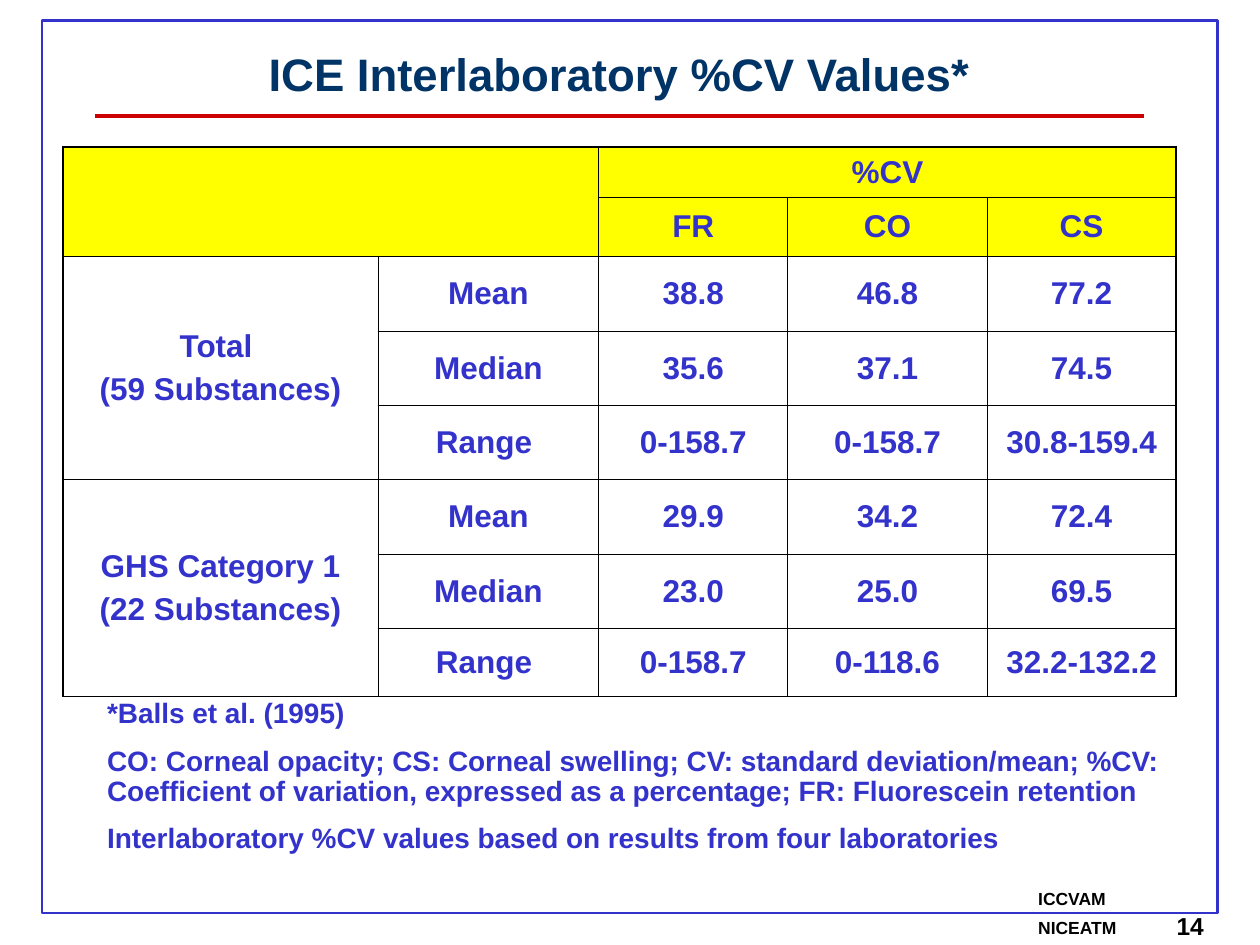
from lxml.etree import SubElement
from pptx import Presentation
from pptx.dml.color import RGBColor
from pptx.enum.shapes import MSO_CONNECTOR, MSO_SHAPE
from pptx.enum.text import MSO_ANCHOR, PP_ALIGN
from pptx.oxml import parse_xml
from pptx.oxml.ns import nsdecls, qn
from pptx.util import Cm, Pt

FONT = "Arial"
BLUE, NAVY, RED, YELLOW, BLACK = "3333CC", "003366", "CC0000", "FFFF00", "000000"
THIN, THICK = 0.45, 1.08

TITLE = "ICE Interlaboratory %CV Values*"
NOTES = [
    "*Balls et al. (1995)",
    "CO: Corneal opacity; CS: Corneal swelling; CV: standard deviation/mean; %CV: "
    "Coefficient of variation, expressed as a percentage; FR: Fluorescein retention",
    "Interlaboratory %CV values based on results from four laboratories",
]
FOOTERS = [
    ("ICCVAM", (20.68, 17.78, 2.06, 0.69), 10),
    ("NICEATM", (20.68, 18.36, 2.46, 0.69), 10),
    ("14", (23.47, 18.24, 2.9, 0.86), 14),
]

ROWS = [
    ["", "", "%CV", "", ""],
    ["", "", "FR", "CO", "CS"],
    ["Total \n(59 Substances)", "Mean", "38.8", "46.8", "77.2"],
    ["", "Median", "35.6", "37.1", "74.5"],
    ["", "Range ", "0-158.7", "0-158.7", "30.8-159.4"],
    ["GHS Category 1\n(22 Substances)", "Mean", "29.9", "34.2", "72.4"],
    ["", "Median", "23.0", "25.0", "69.5"],
    ["", "Range ", "0-158.7", "0-118.6", "32.2-132.2"],
]
MERGES = [((0, 0), (1, 1)), ((0, 2), (0, 4)), ((2, 0), (4, 0)), ((5, 0), (7, 0))]
HEADER_ROWS = 2
COLUMN_WIDTHS = [6.35, 4.45, 3.81, 4.02, 3.81]
ROW_HEIGHTS = [1.02, 1.19] + [1.5] * 5 + [1.37]
TABLE_LEFT, TABLE_TOP = 1.27, 2.96


def color(value):
    return RGBColor.from_string(value)


def write(frame, lines, size, ink, align=PP_ALIGN.LEFT, gap=0, spacing=None):
    for index, line in enumerate(lines):
        para = frame.add_paragraph() if index else frame.paragraphs[0]
        para.alignment = align
        para.space_before = Pt(gap if index else 0)
        if spacing:
            para.line_spacing = spacing
        span = para.add_run()
        span.text = line
        span.font.name = FONT
        span.font.size = Pt(size)
        span.font.bold = True
        span.font.color.rgb = color(ink)


def add_text(page, place, lines, size, ink, anchor=MSO_ANCHOR.TOP, **style):
    box = page.shapes.add_textbox(*map(Cm, place))
    box.text_frame.word_wrap = True
    box.text_frame.vertical_anchor = anchor
    write(box.text_frame, lines, size, ink, **style)


def set_borders(cell, widths):
    properties = cell._tc.get_or_add_tcPr()
    for index, (side, width) in enumerate(widths.items()):
        line = parse_xml(f'<a:ln{side} {nsdecls("a")} w="{int(Pt(width))}"/>')
        fill = SubElement(line, qn("a:solidFill"))
        SubElement(fill, qn("a:srgbClr")).set("val", BLACK)
        properties.insert(index, line)


def add_values_table(page):
    row_count, column_count = len(ROWS), len(COLUMN_WIDTHS)
    thick_rows = {0, HEADER_ROWS, row_count}
    thick_columns = {0, column_count}
    place = (TABLE_LEFT, TABLE_TOP, sum(COLUMN_WIDTHS), sum(ROW_HEIGHTS))
    table = page.shapes.add_table(row_count, column_count, *map(Cm, place)).table
    for column, width in zip(table.columns, COLUMN_WIDTHS):
        column.width = Cm(width)
    for row, height in zip(table.rows, ROW_HEIGHTS):
        row.height = Cm(height)
    for first, last in MERGES:
        table.cell(*first).merge(table.cell(*last))

    for r, texts in enumerate(ROWS):
        for c, text in enumerate(texts):
            cell = table.cell(r, c)
            bottom = r + (cell.span_height if cell.is_merge_origin else 1)
            right = c + (cell.span_width if cell.is_merge_origin else 1)
            cell.vertical_anchor = MSO_ANCHOR.MIDDLE
            if r < HEADER_ROWS:
                cell.fill.solid()
                cell.fill.fore_color.rgb = color(YELLOW)
            else:
                cell.fill.background()
            set_borders(cell, {
                "L": THICK if c in thick_columns else THIN,
                "R": THICK if right in thick_columns else THIN,
                "T": THICK if r in thick_rows else THIN,
                "B": THICK if bottom in thick_rows else THIN,
            })
            if text:
                write(cell.text_frame, text.split("\n"), 18, BLUE,
                      align=PP_ALIGN.CENTER, gap=4.5)


def main():
    deck = Presentation()
    deck.slide_width, deck.slide_height = Cm(25.4), Cm(19.05)
    page = deck.slides.add_slide(deck.slide_layouts[6])

    border = page.shapes.add_shape(
        MSO_SHAPE.RECTANGLE, Cm(0.85), Cm(0.42), Cm(23.7), Cm(17.99))
    border.shadow.inherit = False
    border.fill.background()
    border.line.color.rgb = color(BLUE)
    border.line.width = Pt(1.5)

    for text, place, size in FOOTERS:
        add_text(page, place, [text], size, BLACK)
    add_text(page, (1.27, 0.85, 22.43, 1.27), [TITLE], 26, NAVY,
             anchor=MSO_ANCHOR.MIDDLE, align=PP_ALIGN.CENTER)
    add_values_table(page)
    add_text(page, (1.91, 13.97, 22.01, 3.4), NOTES, 16, BLUE, gap=10, spacing=0.9)

    rule = page.shapes.add_connector(
        MSO_CONNECTOR.STRAIGHT, Cm(1.91), Cm(2.33), Cm(23.07), Cm(2.33))
    rule.line.color.rgb = color(RED)
    rule.line.width = Pt(2.25)
    SubElement(rule._element.spPr, qn("a:effectLst"))

    deck.save("out.pptx")


if __name__ == "__main__":
    main()
